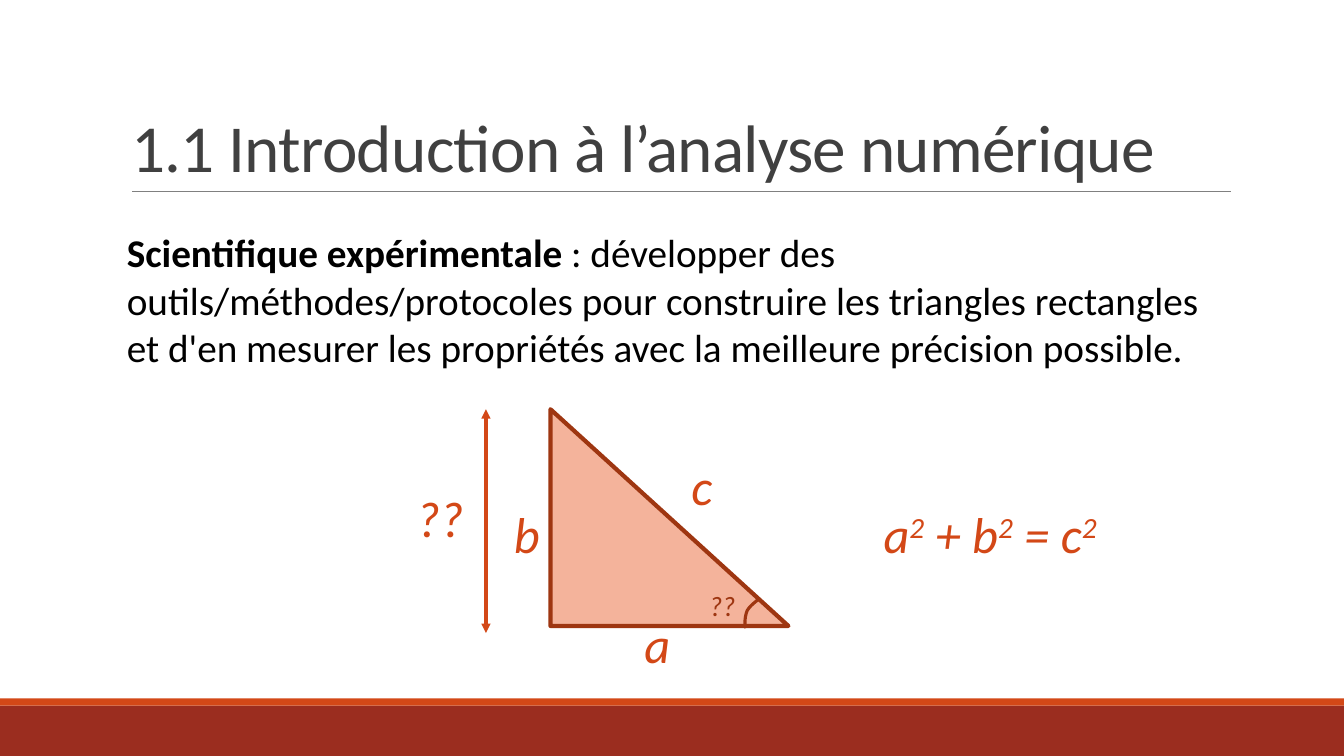
from dataclasses import dataclass

from lxml import etree
from pptx import Presentation
from pptx.dml.color import RGBColor
from pptx.enum.shapes import MSO_CONNECTOR, MSO_SHAPE
from pptx.enum.text import MSO_ANCHOR, MSO_AUTO_SIZE, PP_ALIGN
from pptx.oxml.ns import qn
from pptx.util import Pt

PX = 9144  # EMU per px, 100 px to the inch
SLIDE_WIDTH, SLIDE_HEIGHT = 1333, 750
TITLE_ONLY = 5
LEFT, CENTER = PP_ALIGN.LEFT, PP_ALIGN.CENTER
TOP, BOTTOM = MSO_ANCHOR.TOP, MSO_ANCHOR.BOTTOM
FIT_SHAPE, NO_FIT = MSO_AUTO_SIZE.SHAPE_TO_FIT_TEXT, MSO_AUTO_SIZE.NONE
RECTANGLE, RIGHT_TRIANGLE = MSO_SHAPE.RECTANGLE, MSO_SHAPE.RIGHT_TRIANGLE
STRAIGHT = MSO_CONNECTOR.STRAIGHT


@dataclass(frozen=True)
class Theme:
    font: str = "Calibri"
    title: str = "404040"
    body: str = "000000"
    accent: str = "D34817"
    accent_dark: str = "9E3611"
    accent_light: str = "F4B39B"
    footer: str = "9B2D1F"
    rule: str = "808080"
    title_size: int = 48
    body_size: int = 28
    label_size: int = 36
    angle_size: int = 20


THEME = Theme()


def emu(*lengths):
    return [length * PX for length in lengths]


def color(value):
    return RGBColor.from_string(value)


def write(frame, runs, *, size, fill, align=LEFT, anchor=TOP, italic=None,
          wrap=True, fit=FIT_SHAPE, line_spacing=None, tracking=None):
    """Fill a text frame with (text, style) runs; style is "", "bold" or "super"."""
    frame.word_wrap = wrap
    frame.auto_size = fit
    frame.vertical_anchor = anchor
    paragraph = frame.paragraphs[0]
    paragraph.alignment = align
    paragraph.line_spacing = line_spacing
    for text, style in runs:
        run = paragraph.add_run()
        run.text = text
        run.font.name = THEME.font
        run.font.size = Pt(size)
        run.font.color.rgb = color(fill)
        run.font.italic = italic
        run.font.bold = style == "bold"
        properties = run._r.get_or_add_rPr()
        if style == "super":
            properties.set("baseline", "30000")
        if tracking:
            properties.set("spc", str(tracking))


def add_text(slide, box, runs, **text_format):
    shape = slide.shapes.add_textbox(*emu(*box))
    write(shape.text_frame, runs, **text_format)


def add_label(slide, box, runs):
    add_text(slide, box, runs, size=THEME.label_size, fill=THEME.accent,
             align=CENTER, italic=True, wrap=False)


def style_shape(shape, fill=None, line=None, width=0):
    shape.shadow.inherit = False
    if fill:
        shape.fill.solid()
        shape.fill.fore_color.rgb = color(fill)
    else:
        shape.fill.background()
    if line:
        shape.line.color.rgb = color(line)
        shape.line.width = Pt(width)
    else:
        shape.line.fill.background()


def add_block(slide, kind, box, **style):
    shape = slide.shapes.add_shape(kind, *emu(*box))
    style_shape(shape, **style)


def add_line(slide, ends, line, width, arrows=False):
    connector = slide.shapes.add_connector(STRAIGHT, *emu(*ends))
    connector.line.color.rgb = color(line)
    connector.line.width = Pt(width)
    if arrows:
        outline = connector.line._get_or_add_ln()
        for end in ("a:headEnd", "a:tailEnd"):
            etree.SubElement(outline, qn(end), type="triangle")
    etree.SubElement(connector._element.spPr, qn("a:effectLst"))


def curve_points(start, first, second, end, steps=12):
    """Points along a cubic curve, without its start, in EMU."""
    for step in range(1, steps + 1):
        t = step / steps
        weights = ((1 - t) ** 3, 3 * t * (1 - t) ** 2, 3 * t * t * (1 - t), t ** 3)
        yield tuple(
            round(PX * sum(w * value for w, value in zip(weights, values)))
            for values in zip(start, first, second, end)
        )


def add_arc(slide, curves, line, width):
    builder = slide.shapes.build_freeform(*emu(*curves[0][0]))
    for curve in curves:
        builder.add_line_segments(curve_points(*curve), close=False)
    style_shape(builder.convert_to_shape(), line=line, width=width)


def add_title(slide, box, text):
    title = slide.shapes.title
    title.left, title.top, title.width, title.height = emu(*box)
    write(title.text_frame, [(text, "")], size=THEME.title_size, fill=THEME.title,
          anchor=BOTTOM, fit=NO_FIT, line_spacing=0.85, tracking=-50)


def main():
    presentation = Presentation()
    presentation.slide_width, presentation.slide_height = emu(SLIDE_WIDTH, SLIDE_HEIGHT)
    slide = presentation.slides.add_slide(presentation.slide_layouts[TITLE_ONLY])

    # Footer bands and title
    add_block(slide, RECTANGLE, (0, 700, SLIDE_WIDTH, 50), fill=THEME.footer)
    add_block(slide, RECTANGLE, (0, 693, SLIDE_WIDTH, 7), fill=THEME.accent)
    add_line(slide, (131, 190, 1221, 190), THEME.rule, 0.5)
    add_title(slide, (120, 31, 1100, 159), "1.1 Introduction à l’analyse numérique")

    # Definition
    add_text(slide, (116, 222, 1097, 151), [
        ("Scientifique expérimentale ", "bold"),
        (": développer des outils/méthodes/protocoles pour construire les triangles "
         "rectangles et d'en mesurer les propriétés avec la meilleure précision "
         "possible.", ""),
    ], size=THEME.body_size, fill=THEME.body)

    # Triangle, its sides and its height
    add_block(slide, RIGHT_TRIANGLE, (546, 406, 236, 215),
              fill=THEME.accent_light, line=THEME.accent_dark, width=3)
    for text, box in (
        ("a", (629, 603, 46, 71)),
        ("b", (499, 494, 47, 71)),
        ("c", (675, 447, 42, 71)),
        ("??", (403, 478, 67, 71)),
    ):
        add_label(slide, box, [(text, "")])
    add_line(slide, (482, 406, 482, 628), THEME.accent, 2.25, arrows=True)

    # Pythagorean relation
    relation = []
    for term in ("a", " + b", " = c"):
        relation += [(term, ""), ("2", "super")]
    add_label(slide, (862, 494, 240, 71), relation)

    # Unknown angle
    add_arc(slide, (
        ((753, 594), (748, 598), (743, 602), (741, 606)),
        ((741, 606), (739, 611), (738, 619), (740, 623)),
    ), THEME.accent_dark, 2.25)
    add_text(slide, (683, 579, 67, 44), [("??", "")], size=THEME.angle_size,
             fill=THEME.accent_dark, align=CENTER, italic=True)

    presentation.save("out.pptx")


if __name__ == "__main__":
    main()
